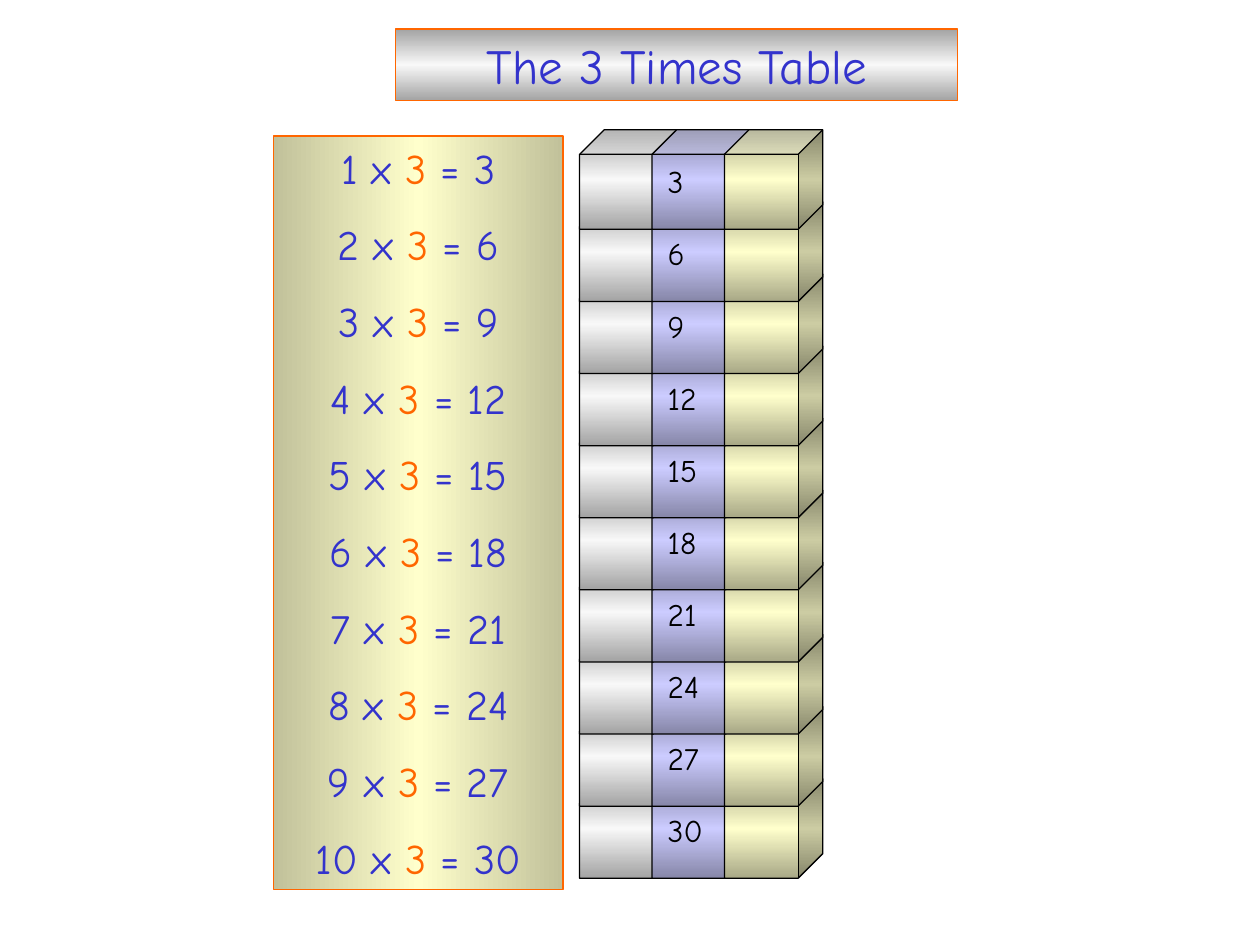
from copy import deepcopy

from pptx import Presentation
from pptx.dml.color import RGBColor
from pptx.enum.shapes import MSO_SHAPE
from pptx.enum.text import MSO_ANCHOR, MSO_AUTO_SIZE, PP_ALIGN
from pptx.oxml.ns import qn
from pptx.util import Inches, Pt

RECTANGLE, CUBE = MSO_SHAPE.RECTANGLE, MSO_SHAPE.CUBE
TOP = MSO_ANCHOR.TOP
GROW = MSO_AUTO_SIZE.SHAPE_TO_FIT_TEXT
LEFT, CENTER = PP_ALIGN.LEFT, PP_ALIGN.CENTER

FONT = "Comic Neue"
BLACK = RGBColor(0x00, 0x00, 0x00)
BLUE = RGBColor(0x33, 0x33, 0xCC)
ORANGE = RGBColor(0xFF, 0x66, 0x00)
SILVER = (RGBColor(0xA3, 0xA3, 0xA3), RGBColor(0xF8, 0xF8, 0xF8))
LILAC = (RGBColor(0x86, 0x86, 0xA8), RGBColor(0xCC, 0xCC, 0xFF))
CREAM = (RGBColor(0xA8, 0xA8, 0x86), RGBColor(0xFF, 0xFF, 0xCC))
SAND = (RGBColor(0xC1, 0xC1, 0x9A), RGBColor(0xFF, 0xFF, 0xCC))

TABLE = 3
ROWS = 10


def add_block(slide, kind, box, shades, outline, angle=90):
    """Add a preset shape with an edge-middle-edge gradient and a thin outline."""
    block = slide.shapes.add_shape(kind, *map(Inches, box))
    block.shadow.inherit = False
    block.fill.gradient()
    block.fill.gradient_angle = angle
    stops = block._element.spPr.find(qn("a:gradFill")).find(qn("a:gsLst"))
    stops.append(deepcopy(stops[0]))
    edge, middle = shades
    for stop, position, shade in zip(block.fill.gradient_stops, (0, 0.5, 1), (edge, middle, edge)):
        stop.position = position
        stop.color.rgb = shade
    block.line.color.rgb = outline
    block.line.width = Pt(0.75)
    return block


def write(shape, lines, size, align=LEFT, gap=0):
    """Fill a shape with lines, each a list of (text, colour) runs."""
    frame = shape.text_frame
    frame.word_wrap = True
    frame.auto_size = GROW
    frame.vertical_anchor = TOP
    for index, runs in enumerate(lines):
        paragraph = frame.add_paragraph() if index else frame.paragraphs[0]
        paragraph.alignment = align
        if index:
            paragraph.space_before = Pt(gap)
        for text, color in runs:
            run = paragraph.add_run()
            run.text = text
            run.font.name = FONT
            run.font.size = Pt(size)
            run.font.color.rgb = color


def add_title(slide, box):
    """Draw the title bar."""
    bar = add_block(slide, RECTANGLE, box, SILVER, ORANGE)
    write(bar, [[(f"The {TABLE} Times Table", BLUE)]], 28, align=CENTER)


def add_equations(slide, box):
    """Draw the panel listing every multiplication."""
    panel = add_block(slide, RECTANGLE, box, SAND, ORANGE, angle=0)
    lines = [
        [(f"{n} x ", BLUE), (str(TABLE), ORANGE), (f" = {n * TABLE}", BLUE)]
        for n in range(1, ROWS + 1)
    ]
    write(panel, lines, 24, align=CENTER, gap=15)


def add_cube_row(slide, box, product):
    """Draw three overlapping cubes with the product on the middle one."""
    left, top, width, height = box
    cube_width = 0.78
    step = (width - cube_width) / 2
    for column, shades in enumerate((SILVER, LILAC, CREAM)):
        cube_box = (left + column * step, top, cube_width, height)
        add_block(slide, CUBE, cube_box, shades, BLACK)
    label_box = (left + 0.6, top + 0.21, 0.75, 0.4)
    label = slide.shapes.add_textbox(*map(Inches, label_box))
    write(label, [[(str(product), BLACK)]], 18)


def add_tower(slide, box):
    """Stack the cube rows from the bottom up."""
    left, top, width, height = box
    cube_height = 0.79
    pitch = (height - cube_height) / (ROWS - 1)
    for row in reversed(range(ROWS)):
        row_box = (left, top + row * pitch, width, cube_height)
        add_cube_row(slide, row_box, (row + 1) * TABLE)


def main():
    """Build the times table slide."""
    deck = Presentation()
    deck.slide_width, deck.slide_height = Inches(10), Inches(7.5)
    slide = deck.slides.add_slide(deck.slide_layouts[6])
    add_title(slide, (3.14, 0.23, 4.46, 0.57))
    add_equations(slide, (2.17, 1.08, 2.3, 5.98))
    add_tower(slide, (4.6, 1.03, 1.93, 5.94))
    deck.save("out.pptx")


if __name__ == "__main__":
    main()
